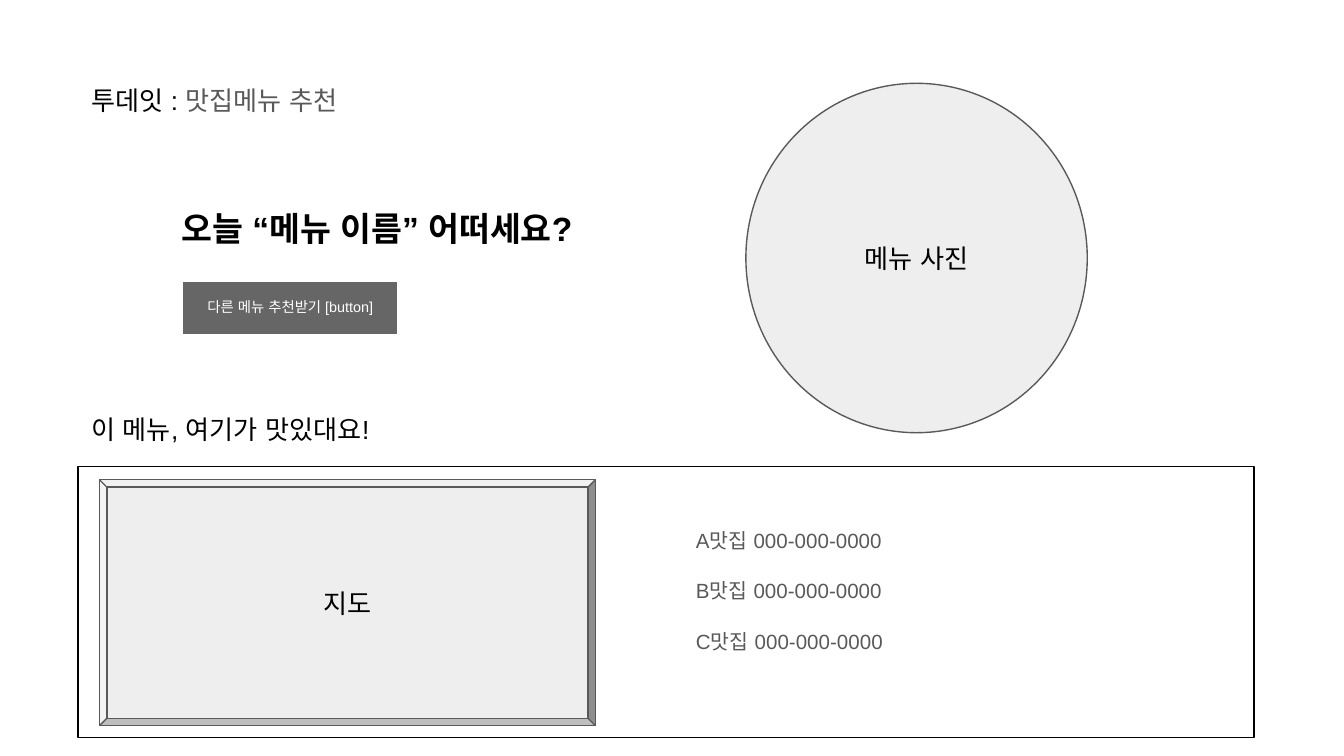
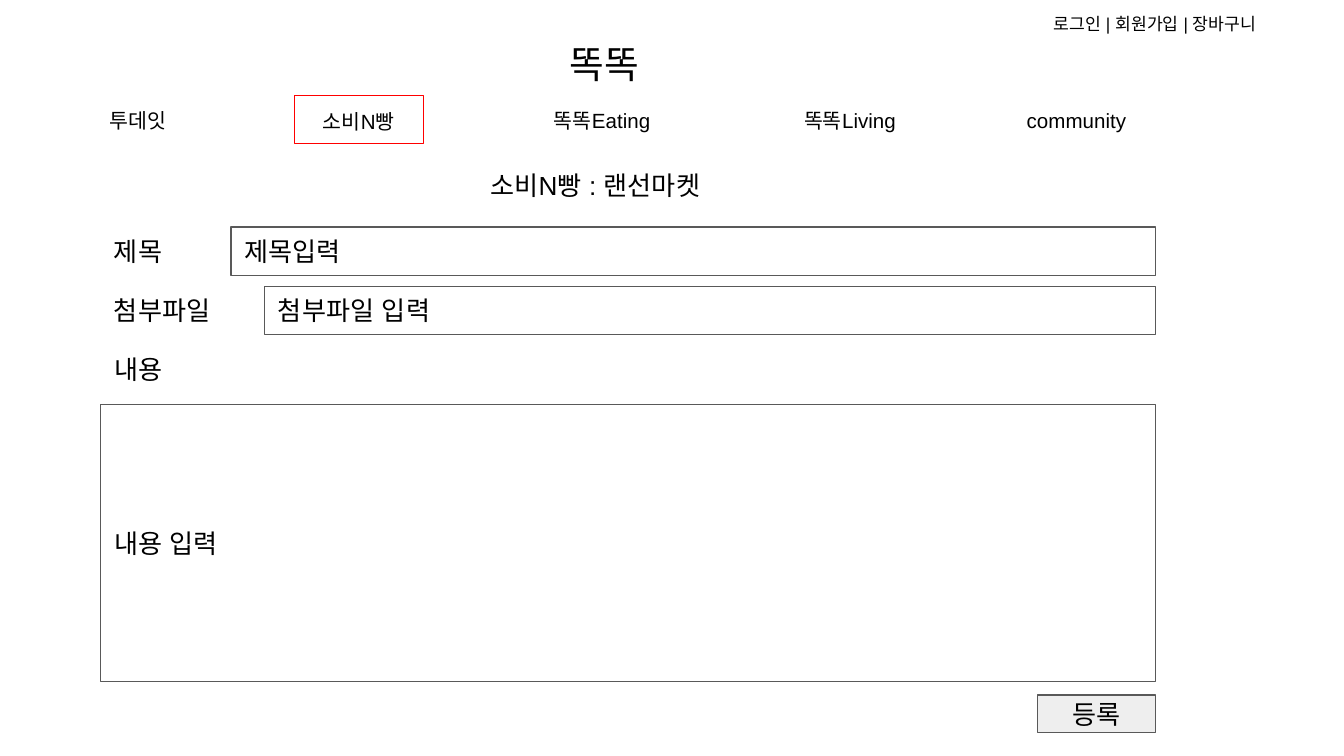
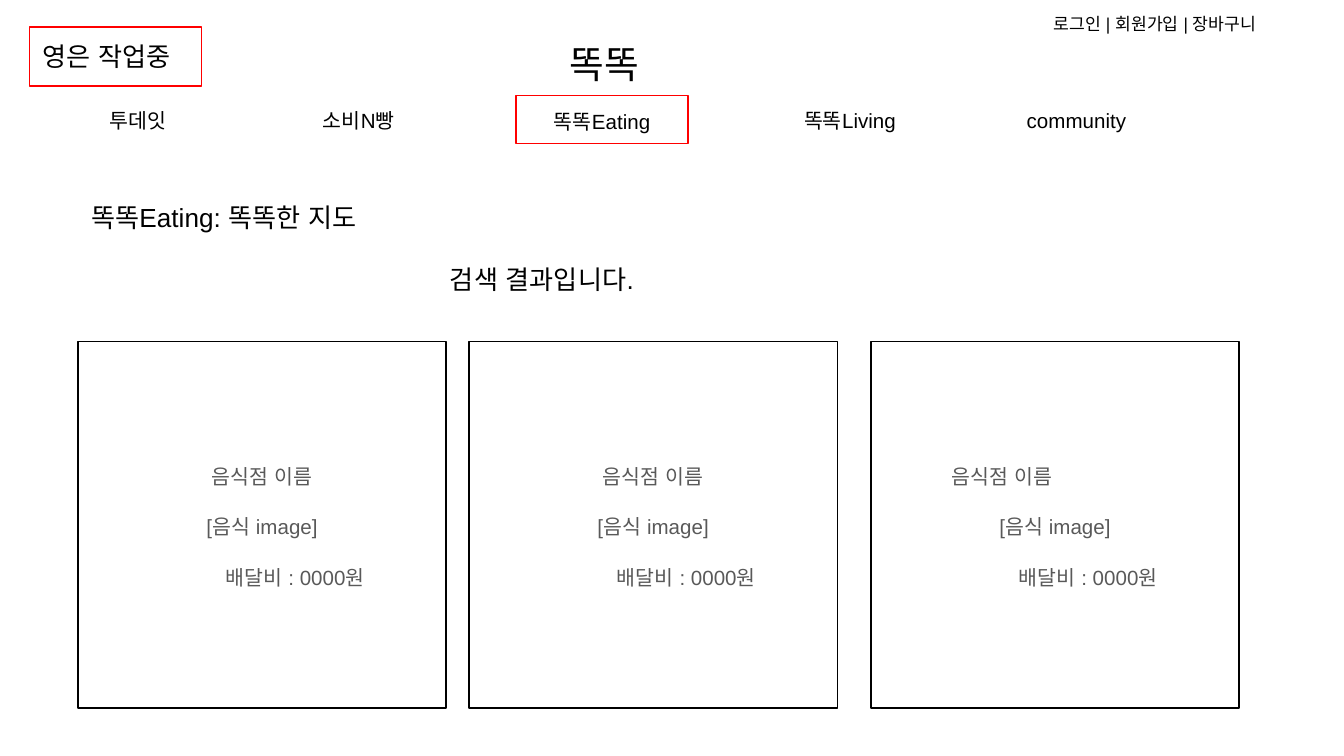
import dataclasses
import typing

import lxml.etree
import pptx
import pptx.dml.color
import pptx.enum.lang
import pptx.enum.shapes
import pptx.enum.text
import pptx.oxml.ns
import pptx.util

Inches = pptx.util.Inches
Pt = pptx.util.Pt
Align = pptx.enum.text.PP_ALIGN
Anchor = pptx.enum.text.MSO_ANCHOR
Form = pptx.enum.shapes.MSO_SHAPE
Korean = pptx.enum.lang.MSO_LANGUAGE_ID.KOREAN


@dataclasses.dataclass(frozen=True)
class Theme:
    font: str = "Arial"
    black: str = "000000"
    white: str = "FFFFFF"
    gray: str = "595959"
    dark: str = "666666"
    pale: str = "EEEEEE"
    red: str = "FF0000"
    logo: float = 20.2
    hero: float = 18
    base: float = 14
    small: float = 11
    link: float = 9.2
    tiny: float = 7.7
    rule: float = 0.75
    inset: float = 0.1


THEME = Theme()


class Run(typing.NamedTuple):
    text: str
    color: str = THEME.black


@dataclasses.dataclass(frozen=True)
class Para:
    runs: tuple[Run, ...]
    center: bool = False
    left: float = 0
    style: dict[str, typing.Any] = dataclasses.field(default_factory=dict)


@dataclasses.dataclass(frozen=True)
class Box:
    at: tuple[float, float, float, float]
    paras: list[Para]
    size: float = THEME.base
    bold: bool = False
    form: typing.Any = None
    fill: str | None = None
    line: str | None = None
    middle: bool = True
    base: float = THEME.inset
    adjust: float | None = None


class Field(typing.NamedTuple):
    label: str
    wide: float
    hint: str
    left: float


class Tab(typing.NamedTuple):
    text: str
    left: float
    wide: float


TABS = [
    Tab("투데잇", 0.55, 0.96),
    Tab("소비N빵", 2.19, 0.96),
    Tab("똑똑Eating", 3.84, 1.28),
    Tab("똑똑Living", 5.81, 1.03),
    Tab("community", 7.53, 0.96),
]
FIELDS = [
    Field("제목", 0.8, "제목입력", 1.72),
    Field("첨부파일", 1.03, "첨부파일 입력", 1.97),
]


def apply(target: typing.Any, values: dict[str, typing.Any]) -> None:
    for name, value in values.items():
        setattr(target, name, value)


def rgb(color: str) -> pptx.dml.color.RGBColor:
    return pptx.dml.color.RGBColor.from_string(color)


def plain(text: str, color: str = THEME.black, center: bool = False) -> list[Para]:
    return [Para((Run(text, color),), center)]


def body(lines: list[tuple[str, bool, float]]) -> list[Para]:
    paras = []
    for order, (text, center, left) in enumerate(lines):
        style: dict[str, typing.Any] = {"line_spacing": 1.15}
        if order:
            style["space_before"] = Pt(12)
        paras.append(Para((Run(text, THEME.gray),), center, left, style))
    return paras


def write(para: typing.Any, data: Para, box: Box) -> None:
    apply(para, {"alignment": Align.CENTER if data.center else Align.LEFT, **data.style})
    if data.left:
        para._p.get_or_add_pPr().set("marL", str(Inches(data.left)))
    for item in data.runs:
        run = para.add_run()
        run.text = item.text
        apply(run.font, {"name": THEME.font, "size": Pt(box.size), "bold": box.bold,
                         "language_id": Korean})
        run.font.color.rgb = rgb(item.color)
        east = lxml.etree.SubElement(run._r.rPr, pptx.oxml.ns.qn("a:ea"))
        east.set("typeface", THEME.font)


def draw(slide: typing.Any, box: Box) -> None:
    place = [Inches(value) for value in box.at]
    if box.form is None:
        shape = slide.shapes.add_textbox(*place)
    else:
        shape = slide.shapes.add_shape(box.form, *place)
        shape.shadow.inherit = False
        if box.adjust is not None:
            shape.adjustments[0] = box.adjust
        if box.fill:
            shape.fill.solid()
            shape.fill.fore_color.rgb = rgb(box.fill)
        else:
            shape.fill.background()
        if box.line:
            shape.line.color.rgb = rgb(box.line)
            shape.line.width = Pt(THEME.rule)
        else:
            shape.line.fill.background()
    frame = shape.text_frame
    inset = Inches(THEME.inset)
    apply(frame, {
        "word_wrap": True,
        "vertical_anchor": Anchor.MIDDLE if box.middle else Anchor.TOP,
        "margin_left": inset,
        "margin_right": inset,
        "margin_top": inset,
        "margin_bottom": Inches(box.base),
    })
    for order, data in enumerate(box.paras):
        write(frame.add_paragraph() if order else frame.paragraphs[0], data, box)


def header(slide: typing.Any, live: str) -> None:
    draw(slide, Box((4.14, 0.2, 0.8, 0.42), plain("똑똑"), THEME.logo, middle=False))
    for tab in TABS:
        on = tab.text == live
        draw(slide, Box((tab.left, 0.71, tab.wide, 0.36), plain(tab.text, center=True),
                        THEME.small, form=Form.RECTANGLE if on else None,
                        line=THEME.red if on else None, middle=False))
    draw(slide, Box((7.74, 0.02, 1.92, 0.42), plain("로그인 | 회원가입 | 장바구니"),
                    THEME.link, middle=False))


def today(slide: typing.Any) -> None:
    shops = body([(f"{name}맛집 000-000-0000", False, 4.5) for name in "ABC"])
    title = [Para((Run("투데잇 : "), Run("맛집메뉴 추천", THEME.gray)))]
    button = [Para((Run("다른 메뉴 추천받기 [button]", THEME.white),), True,
                   style={"line_spacing": 0.95})]
    boxes = [
        Box((0.58, 3.47, 8.75, 2.02), shops, THEME.small, form=Form.RECTANGLE,
            fill=THEME.white, line=THEME.black, base=0.3),
        Box((0.58, 0.53, 2.94, 0.47), title, middle=False),
        Box((5.55, 0.62, 2.54, 2.6), plain("메뉴 사진", center=True), form=Form.OVAL,
            fill=THEME.pale, line=THEME.gray),
        Box((0.58, 2.97, 2.42, 0.44), plain("이 메뉴, 여기가 맛있대요!"),
            form=Form.RECTANGLE, fill=THEME.white, line=THEME.white),
        Box((0.74, 3.57, 3.69, 1.83), plain("지도", center=True), form=Form.BEVEL,
            fill=THEME.pale, line=THEME.gray, adjust=0.03),
        Box((1.25, 1.32, 3.69, 0.76), plain("오늘 “메뉴 이름” 어떠세요?"),
            THEME.hero, bold=True),
        Box((1.36, 2.09, 1.6, 0.4), button, THEME.tiny, form=Form.RECTANGLE,
            fill=THEME.dark, line=THEME.white),
    ]
    for box in boxes:
        draw(slide, box)


def market(slide: typing.Any) -> None:
    left, right = 0.75, 8.6
    draw(slide, Box((3.55, 1.16, 2.1, 0.5), plain("소비N빵 : 랜선마켓"), middle=False))
    header(slide, "소비N빵")
    for row, field in enumerate(FIELDS):
        top = 1.69 + 0.44 * row
        draw(slide, Box((left, top, field.wide, 0.36), plain(field.label)))
        draw(slide, Box((field.left, top, right - field.left, 0.36), plain(field.hint),
                        form=Form.RECTANGLE, line=THEME.gray))
    draw(slide, Box((left, 2.59, 1.28, 0.31), plain("내용")))
    draw(slide, Box((left, 3.01, right - left, 2.06), plain("내용 입력"),
                    form=Form.RECTANGLE, line=THEME.gray))
    draw(slide, Box((right - 0.88, 5.17, 0.88, 0.28), plain("등록", center=True),
                    form=Form.RECTANGLE, fill=THEME.pale, line=THEME.gray))


def search(slide: typing.Any) -> None:
    header(slide, "똑똑Eating")
    draw(slide, Box((0.22, 0.2, 1.28, 0.44), plain("영은 작업중"),
                    form=Form.RECTANGLE, line=THEME.red, middle=False))
    draw(slide, Box((0.58, 1.4, 2.94, 0.63), plain("똑똑Eating: 똑똑한 지도"), middle=False))
    for left, center, indent in [(0.58, True, 0), (3.49, True, 0), (6.48, False, 0.5)]:
        card = body([
            ("음식점 이름", center, indent),
            ("[음식 image]", True, 0),
            ("배달비 : 0000원", False, 1),
        ])
        draw(slide, Box((left, 2.54, 2.74, 2.73), card, THEME.small, form=Form.RECTANGLE,
                        fill=THEME.white, line=THEME.black))
    draw(slide, Box((3.25, 1.86, 2.94, 0.44), plain("검색 결과입니다."), middle=False))


def main() -> None:
    deck = pptx.Presentation()
    wide = Inches(10)
    apply(deck, {"slide_width": wide, "slide_height": wide * 9 // 16})
    for build in (today, market, search):
        build(deck.slides.add_slide(deck.slide_layouts[6]))
    deck.save("out.pptx")


if __name__ == "__main__":
    main()
